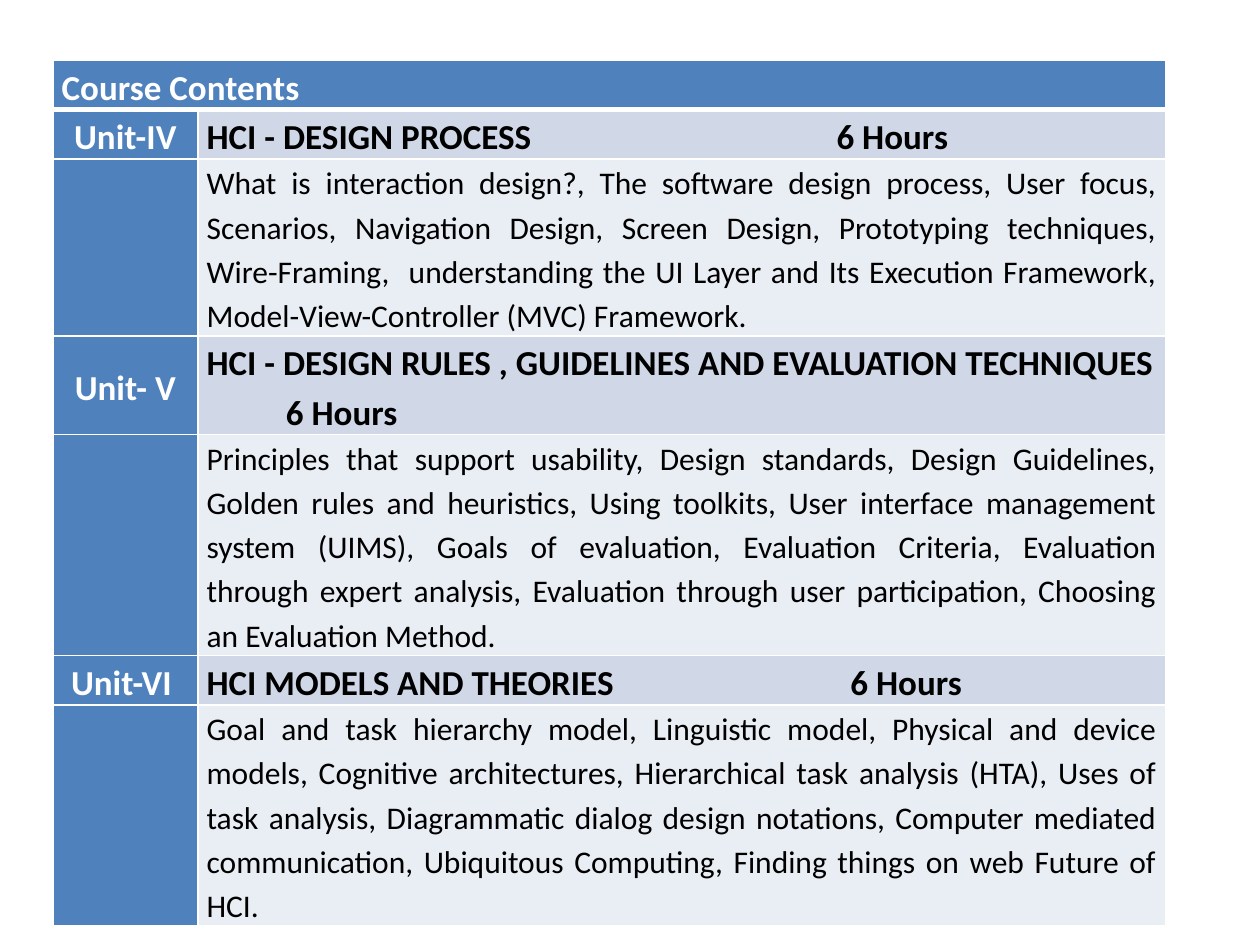
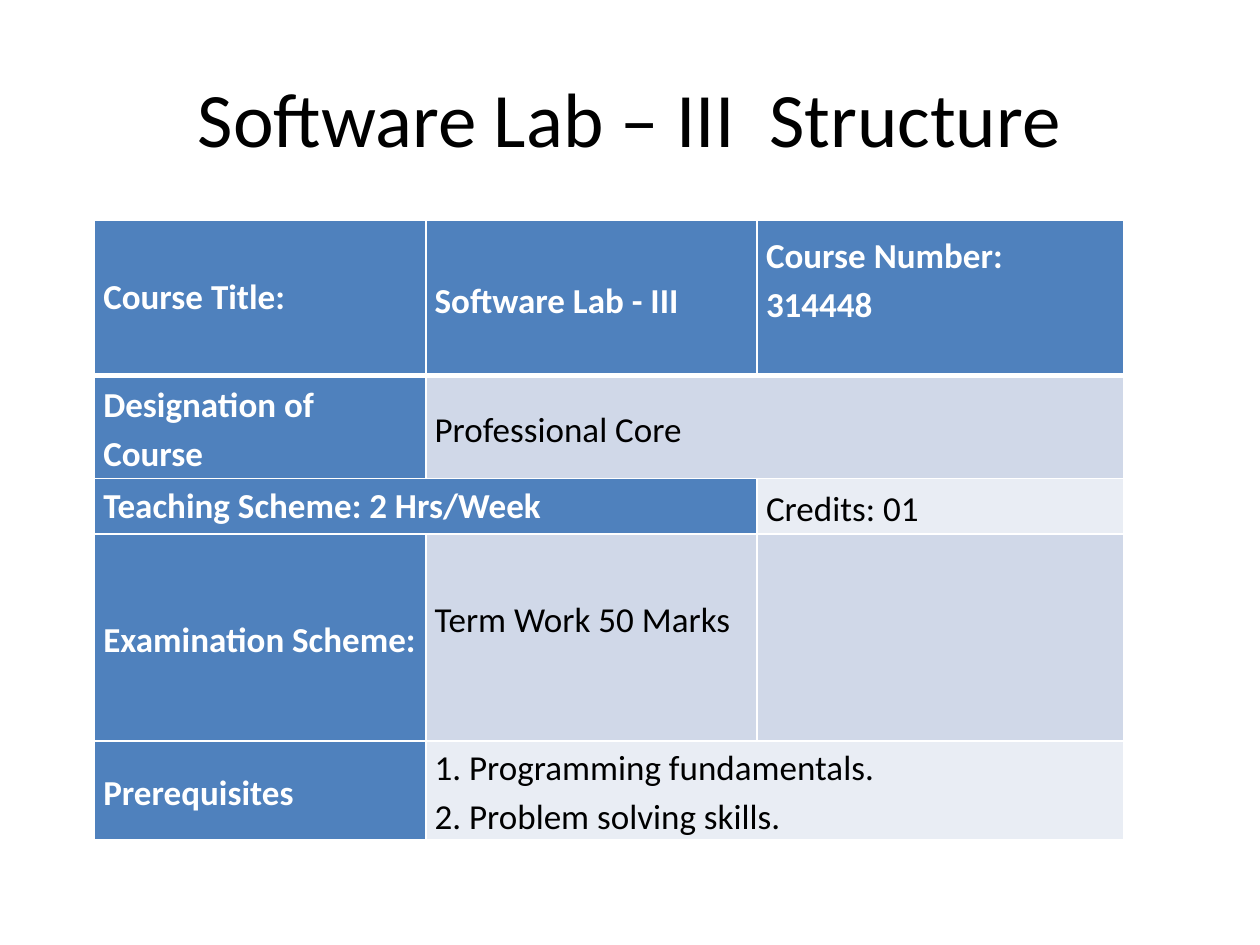
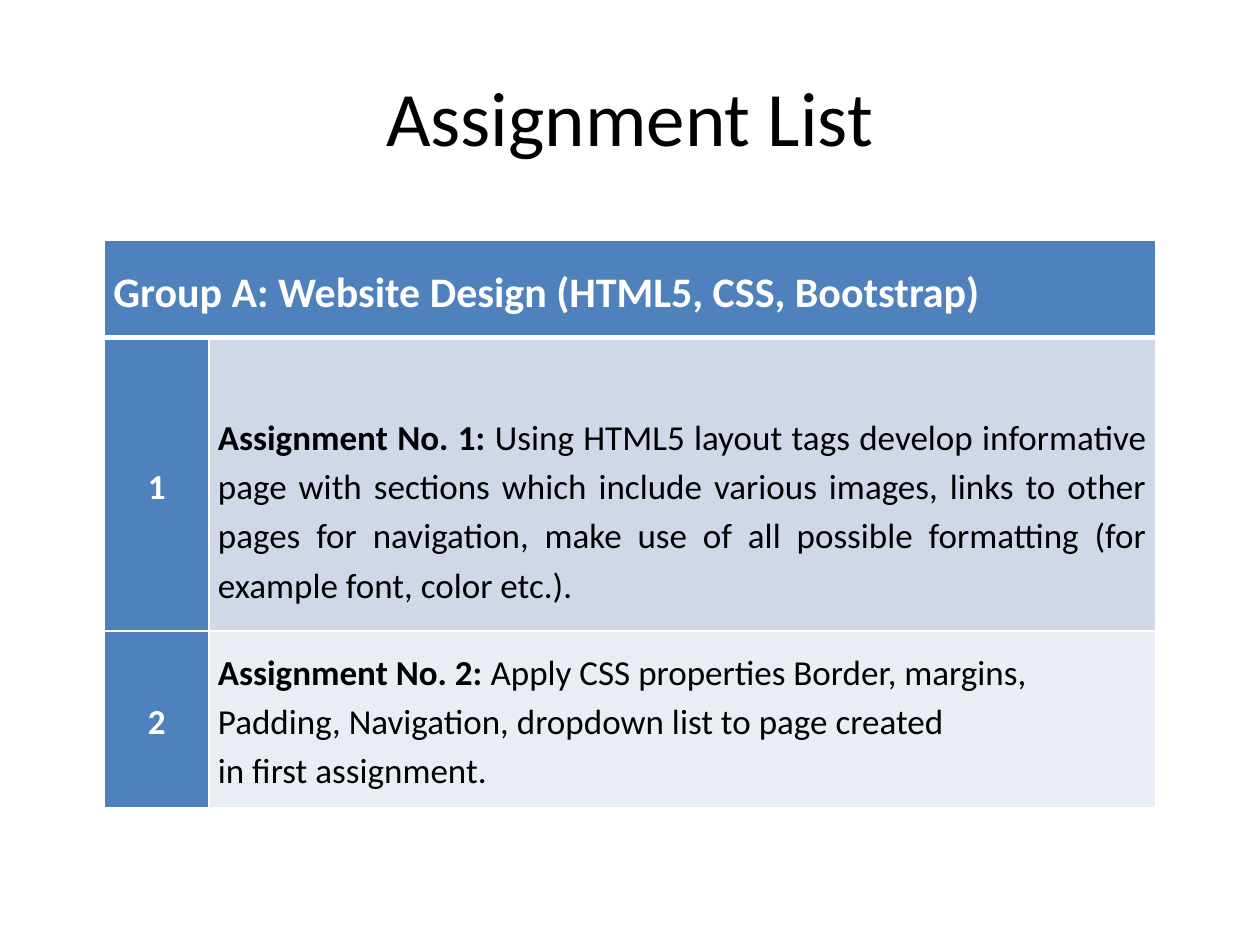
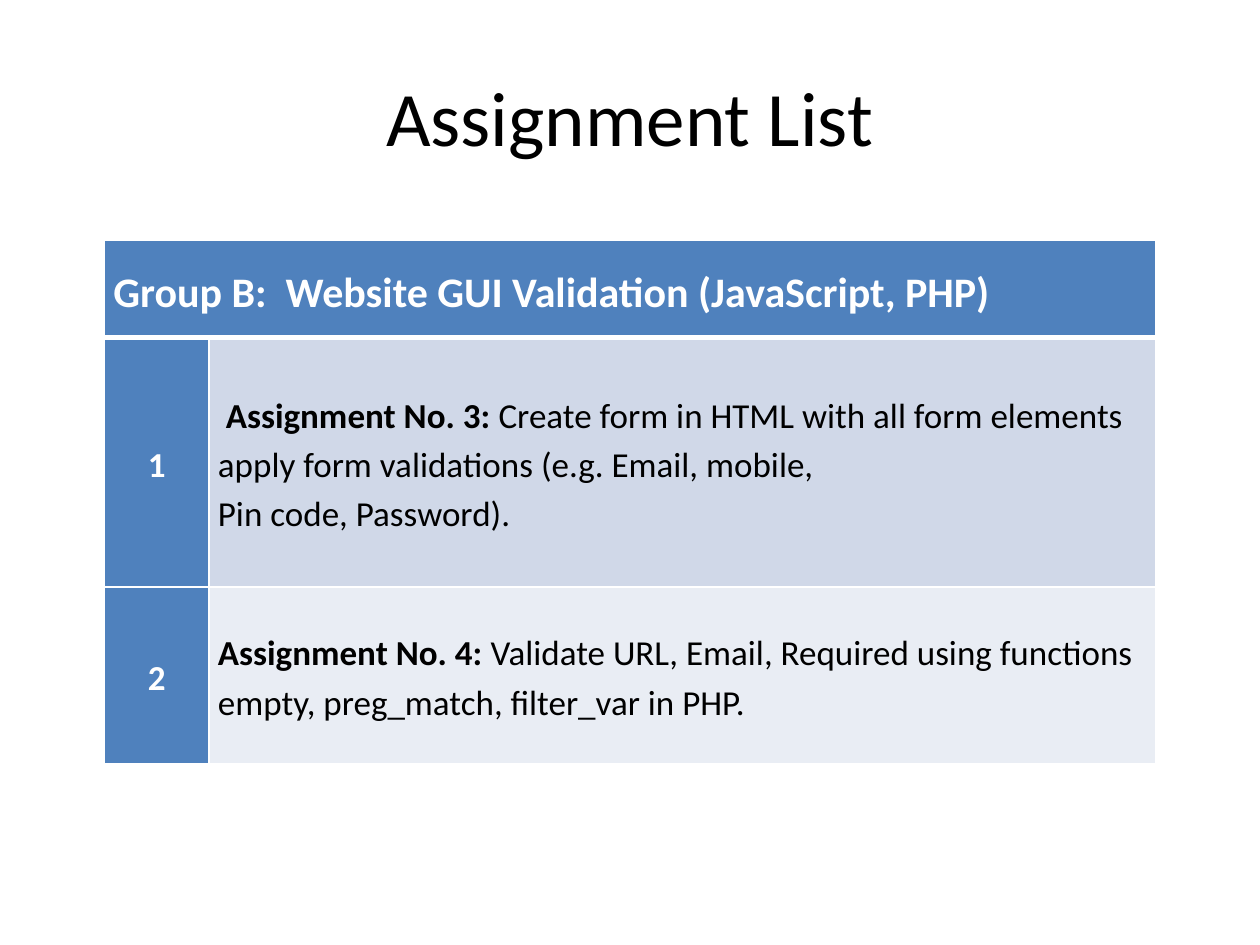
from dataclasses import dataclass
from typing import Optional

from lxml import etree
from pptx import Presentation
from pptx import util as u
from pptx.dml.color import RGBColor
from pptx.enum import text
from pptx.oxml import ns

PX = 9144  # EMU per px, 100 px to the inch
FONT = "Calibri"
BLUE, WHITE, BLACK = "4F81BD", "FFFFFF", "000000"
BANDS = ("E9EDF4", "D0D8E8")
LEFT, CENTER, JUSTIFY = text.PP_ALIGN.LEFT, text.PP_ALIGN.CENTER, text.PP_ALIGN.JUSTIFY


@dataclass(frozen=True)
class Para:
    text: str
    lead: str = ""  # bold opening words
    align: text.PP_ALIGN = LEFT
    spacing: float = 1.15
    tab: int = 0


@dataclass(frozen=True)
class Cell:
    paras: tuple[Para, ...] = ()
    size: int = 20
    bold: bool = False
    span: int = 1
    top: int = 0
    bottom: int = 0


@dataclass(frozen=True)
class Grid:
    left: int
    top: int
    height: int
    cols: tuple[int, ...]
    rows: tuple[int, ...]
    cells: tuple[tuple[Optional[Cell], ...], ...]


@dataclass(frozen=True)
class Page:
    grid: Grid
    title: str = ""
    title_box: tuple[int, int, int, int] = (50, 42, 900, 100)


def px(n: int) -> u.Emu:
    return u.Emu(n * PX)


def rgb(value: str) -> RGBColor:
    return RGBColor.from_string(value)


def apply(obj: object, values: dict) -> None:
    for name, value in values.items():
        setattr(obj, name, value)


def add_run(p, content: str, size: int, color: str, bold: bool) -> None:
    r = p.add_run()
    r.text = content
    apply(r.font, {"name": FONT, "size": u.Pt(size), "bold": bold})
    r.font.color.rgb = rgb(color)


def add_tab(p, position: int) -> None:
    tabs = etree.SubElement(p._p.get_or_add_pPr(), ns.qn("a:tabLst"))
    etree.SubElement(tabs, ns.qn("a:tab"), pos=str(px(position)), algn="l")


def add_borders(cell, row: int) -> None:
    """White edges, with a thick rule between the first two rows."""
    tc_pr = cell._tc.get_or_add_tcPr()
    widths = {"L": 1, "R": 1, "T": 3 if row == 1 else 1, "B": 3 if row == 0 else 1}
    for side, width in widths.items():
        ln = etree.SubElement(tc_pr, ns.qn(f"a:ln{side}"), w=str(u.Pt(width)))
        fill = etree.SubElement(ln, ns.qn("a:solidFill"))
        etree.SubElement(fill, ns.qn("a:srgbClr"), val=WHITE)


def fill_cell(cell, item: Cell, heading: bool) -> None:
    apply(cell, {
        "margin_left": px(7), "margin_right": px(7),
        "margin_top": px(item.top), "margin_bottom": px(item.bottom),
        "vertical_anchor": text.MSO_ANCHOR.MIDDLE,
    })
    color = WHITE if heading else BLACK
    tf = cell.text_frame
    for i, para in enumerate(item.paras):
        p = tf.add_paragraph() if i else tf.paragraphs[0]
        if para.tab:
            add_tab(p, para.tab)
        apply(p, {"alignment": para.align, "line_spacing": para.spacing})
        if para.lead:
            add_run(p, para.lead, item.size, color, True)
        for j, line in enumerate(para.text.split("\n")):
            if j:
                p.add_line_break()
            add_run(p, line, item.size, color, heading or item.bold)


def draw_grid(s, grid: Grid) -> None:
    frame = s.shapes.add_table(len(grid.rows), len(grid.cols), px(grid.left), px(grid.top),
                               px(sum(grid.cols)), px(grid.height))
    table = frame.table
    for col, width in zip(table.columns, grid.cols):
        col.width = px(width)
    for row, height in zip(table.rows, grid.rows):
        row.height = px(height)
    frame.height = px(grid.height)
    for i, items in enumerate(grid.cells):
        for j, item in enumerate(items):
            cell = table.cell(i, j)
            heading = i == 0 or j == 0
            add_borders(cell, i)
            cell.fill.solid()
            cell.fill.fore_color.rgb = rgb(BLUE if heading else BANDS[i % 2])
            if item is None:
                continue
            if item.span > 1:
                cell.merge(table.cell(i, j + item.span - 1))
            fill_cell(cell, item, heading)


def draw_title(s, title: str, box: tuple[int, int, int, int]) -> None:
    sp = s.shapes.title
    apply(sp, dict(zip(("left", "top", "width", "height"), map(px, box))))
    tf = sp.text_frame
    tf.vertical_anchor = text.MSO_ANCHOR.MIDDLE
    p = tf.paragraphs[0]
    p.alignment = CENTER
    add_run(p, title, 44, BLACK, False)


def label(content: str, **options) -> Cell:
    return Cell((Para(content),), **options)


def centred(content: str) -> Cell:
    return Cell((Para(content, align=CENTER),))


def unit(name: str, heading: tuple[Para, ...], topics: str) -> tuple:
    """The heading row and the topics row of one course unit."""
    return ((centred(name), Cell(heading, bold=True)),
            (Cell(), Cell((Para(topics, align=JUSTIFY),), size=18)))


def assignments(group: str, first_height: int, *items: Cell) -> Page:
    rows = tuple((centred(str(n)), item) for n, item in enumerate(items, 1))
    heights = (77, first_height, 140)
    header = (label(group, size=24, span=2), None)
    return Page(Grid(83, 191, sum(heights), (83, 751), heights, (header, *rows)), "Assignment List")


CONTENTS = Grid(42, 48, 675, (115, 768), (37, 37, 92, 37, 110, 37, 110), (
    (Cell((Para("Course Contents", align=JUSTIFY),), span=2), None),
    *unit("Unit-IV", (Para("HCI - DESIGN PROCESS\t6 Hours", align=JUSTIFY, tab=500),),
          "What is interaction design?, The software design process, User focus, Scenarios, "
          "Navigation Design, Screen Design, Prototyping techniques, Wire-Framing,  understanding "
          "the UI Layer and Its Execution Framework, Model-View-Controller (MVC) Framework."),
    *unit("Unit- V", (Para("HCI - DESIGN RULES , GUIDELINES AND EVALUATION TECHNIQUES"),
                      Para("\t6 Hours", tab=63)),
          "Principles that support usability, Design standards, Design Guidelines, Golden rules "
          "and heuristics, Using toolkits, User interface management system (UIMS), Goals of "
          "evaluation, Evaluation Criteria, Evaluation through expert analysis, Evaluation "
          "through user participation, Choosing an Evaluation Method."),
    *unit("Unit-VI ", (Para("HCI MODELS AND THEORIES\t6 Hours", tab=511),),
          "Goal and task hierarchy model, Linguistic model, Physical and device models, Cognitive "
          "architectures, Hierarchical task analysis (HTA), Uses of task analysis, Diagrammatic "
          "dialog design notations, Computer mediated communication, Ubiquitous Computing, "
          "Finding things on web Future of HCI."),
))

STRUCTURE = Grid(75, 175, 491, (263, 263, 291), (123, 82, 44, 164, 44), (
    (Cell((Para("Course Title:", spacing=1.0),)), label("Software Lab - III"),
     label("Course Number:\n314448", bottom=32)),
    (label("Designation of Course"), label("Professional Core", span=2), None),
    (Cell((Para("Teaching Scheme: 2 Hrs/Week", spacing=1.0),), span=2), None,
     label("Credits: 01")),
    (label("Examination Scheme:"), label("Term Work 50 Marks", bottom=32), Cell()),
    (label("Prerequisites"),
     Cell((Para("1. Programming fundamentals."), Para("2. Problem solving skills.")), span=2), None),
))

PAGES = (
    Page(CONTENTS),
    Page(STRUCTURE, "Software Lab – III  Structure", (50, 30, 900, 125)),
    assignments(
        "Group A: Website Design (HTML5, CSS, Bootstrap)", 233,
        Cell((Para("Using HTML5 layout tags develop informative page with sections which include "
                   "various images, links to other pages for navigation, make use of all possible "
                   "formatting (for example font, color etc.).", "Assignment No. 1: ", JUSTIFY),),
             top=39),
        Cell((Para("Apply CSS properties Border, margins, Padding, Navigation, dropdown list to "
                   "page created", "Assignment No. 2: "), Para("in first assignment.")))),
    assignments(
        "Group B:  Website GUI Validation (JavaScript, PHP)", 198,
        Cell((Para("Create form in HTML with all form elements apply form validations (e.g. "
                   "Email, mobile,", " Assignment No. 3: "),
              Para("Pin code, Password).", align=JUSTIFY))),
        Cell((Para("Validate URL, Email, Required using functions empty, preg_match, filter_var "
                   "in PHP.", "Assignment No. 4: "),))),
)


def main() -> None:
    prs = Presentation()
    apply(prs, {"slide_width": px(1000), "slide_height": px(750)})
    title_only, blank = prs.slide_layouts[5], prs.slide_layouts[6]
    for page in PAGES:
        s = prs.slides.add_slide(title_only if page.title else blank)
        if page.title:
            draw_title(s, page.title, page.title_box)
        draw_grid(s, page.grid)
    prs.save("out.pptx")


if __name__ == "__main__":
    main()
